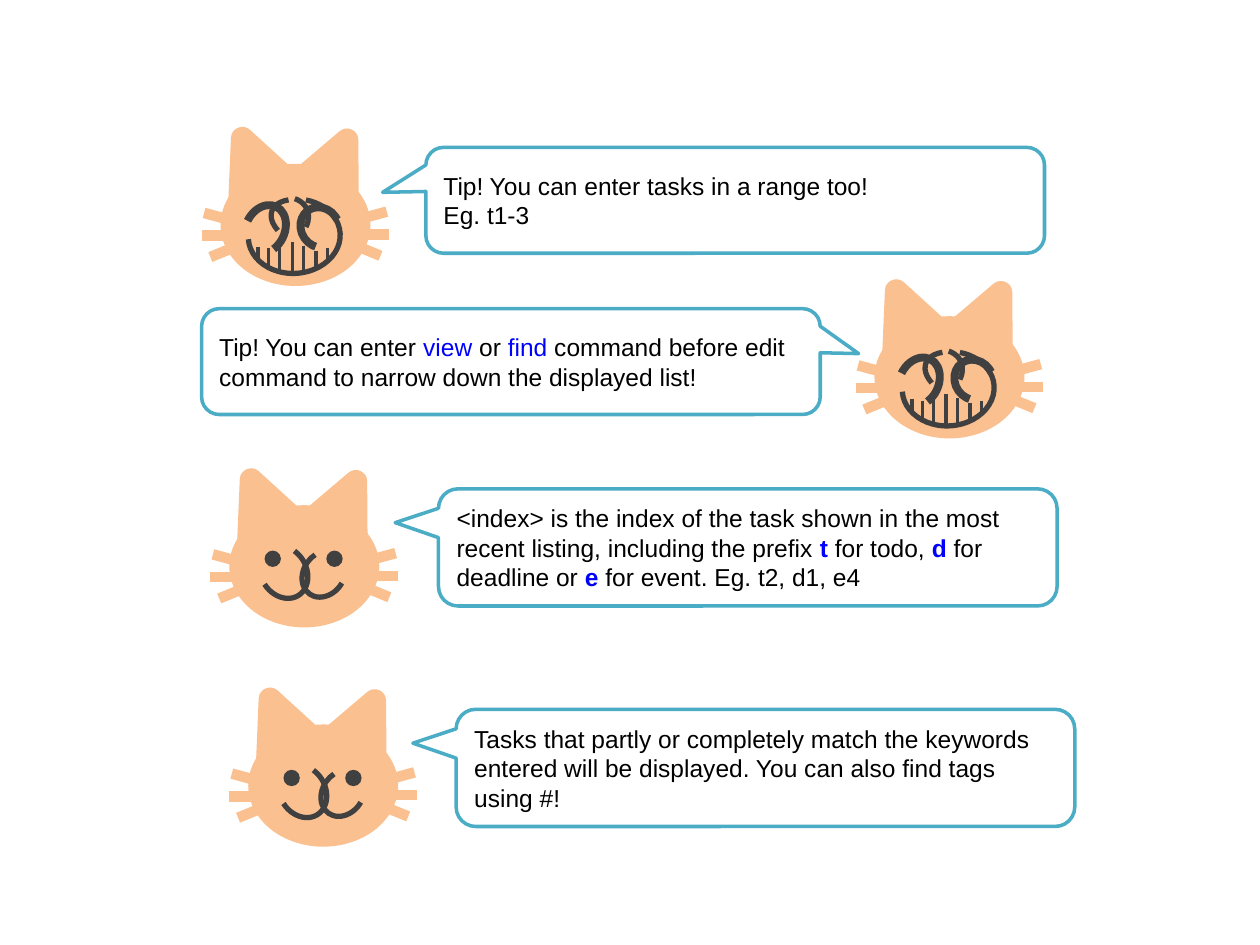
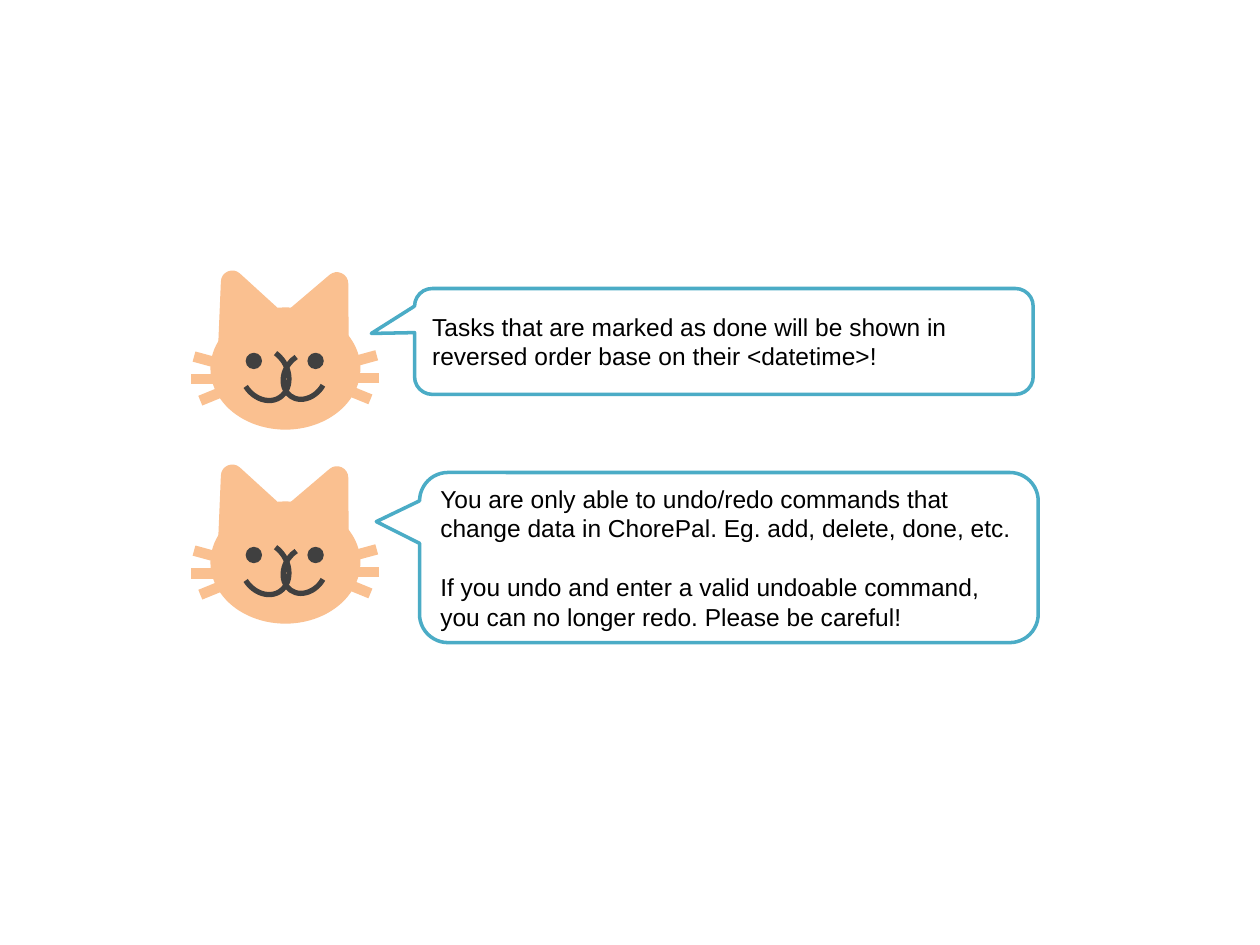
from dataclasses import dataclass
from typing import NamedTuple, Optional

import pptx
import pptx.dml.color
import pptx.enum.shapes
import pptx.enum.text
import pptx.oxml.ns
import pptx.oxml.xmlchemy
import pptx.shapes.autoshape
import pptx.shapes.group
import pptx.util

Inches = pptx.util.Inches
Pt = pptx.util.Pt
Preset = pptx.enum.shapes.MSO_SHAPE
Group = pptx.shapes.group.GroupShape
Shape = pptx.shapes.autoshape.Shape

COLOURS = {
    "fur": "FAC090",
    "feature": "404040",
    "bubble": "FFFFFF",
    "border": "4BACC6",
    "text": "000000",
    "keyword": "0000FF",
}
FONT = "Arial"
TEXT_SIZE = 14
PARAGRAPH_GAP = 16.75
HEAD_WIDTH, HEAD_HEIGHT = 1.19, 0.97
BUBBLE_WIDTH = 4.91
EYE_SIZE = 0.13


class Box(NamedTuple):
    left: float
    top: float
    width: float
    height: float

    def moved(self, left: float, top: float) -> "Box":
        return Box(self.left + left, self.top + top, self.width, self.height)


class Arc(NamedTuple):
    box: Box
    rotation: float
    start: float
    end: float
    flipped: bool = False
    weight: float = 3


class Segment(NamedTuple):
    x1: float
    y1: float
    x2: float
    y2: float


class Words(NamedTuple):
    text: str
    colour: str = "text"
    bold: bool = False


@dataclass
class Tip:
    left: float
    top: float
    bubble: Box
    paragraphs: list[list[Words]]
    tail_x: float = -0.57
    tail_y: float = -0.211
    grinning: bool = False
    gap: float = 0


EARS = [(Box(0.05, -0.22, 0.42, 0.45), 337.4), (Box(0.7, -0.21, 0.42, 0.45), 24.6)]
LEFT_WHISKERS = [
    Segment(-0.13, 0.39, 0.09, 0.45),
    Segment(-0.15, 0.57, 0.07, 0.57),
    Segment(-0.08, 0.74, 0.14, 0.65),
]
RIGHT_WHISKERS = [
    Segment(HEAD_WIDTH - whisker.x1, whisker.y1 - 0.01, HEAD_WIDTH - whisker.x2, whisker.y2 - 0.01)
    for whisker in LEFT_WHISKERS
]
EYES = [Box(left, 0.36, EYE_SIZE, EYE_SIZE) for left in (0.28, 0.77)]
SMILE = [
    Arc(Box(0.25, 0.31, 0.36, 0.44), 147.3, 149.97, 0),
    Arc(Box(0.59, 0.35, 0.32, 0.39), 215.6, 149.97, 8.83, True),
]
GRIN = [
    Arc(Box(0.19, 0.28, 0.52, 0.38), 153.7, 152.12, 214.4),
    Arc(Box(0.39, 0.3, 0.59, 0.35), 200.2, 147.75, 213.27, True),
    Arc(Box(0.64, 0.34, 0.3, 0.33), 324.8, 137.81, 10.8, weight=4.5),
    Arc(Box(0.2, 0.32, 0.31, 0.4), 26.1, 139.36, 0.39, True, 4.5),
    Arc(Box(0.22, 0.28, 0.73, 0.59), 176.3, 111.57, 0),
]
TEETH = [
    Segment(x, top, x, bottom)
    for x, top, bottom in [
        (0.3, 0.66, 0.77),
        (0.38, 0.67, 0.83),
        (0.47, 0.66, 0.86),
        (0.57, 0.62, 0.86),
        (0.66, 0.65, 0.85),
        (0.76, 0.69, 0.83),
        (0.85, 0.67, 0.77),
    ]
]

SLIDES = [
    [
        Tip(1.82, 4.01, Box(3.48, 3.88, BUBBLE_WIDTH, 0.93), [[
            Words("<index> is the index of the task shown in the most recent listing, including the prefix "),
            Words("t", "keyword", True),
            Words(" for todo, "),
            Words("d", "keyword", True),
            Words(" for deadline or "),
            Words("e", "keyword", True),
            Words(" for event. Eg. t2, d1, e4"),
        ]]),
        Tip(1.97, 5.75, Box(3.62, 5.63, BUBBLE_WIDTH, 0.93), [[
            Words("Tasks that partly or completely match the keywords entered will be displayed. "
                  "You can also find tags using #!"),
        ]]),
        Tip(1.75, 1.3, Box(3.38, 1.17, BUBBLE_WIDTH, 0.84), [
            [Words("Tip! You can enter tasks in a range too!")],
            [Words("Eg. t1-3")],
        ], tail_y=-0.075, grinning=True),
        Tip(6.94, 2.51, Box(1.6, 2.45, BUBBLE_WIDTH, 0.84), [[
            Words("Tip! You can enter "),
            Words("view", "keyword"),
            Words(" or "),
            Words("find", "keyword"),
            Words(" command before edit command to narrow down the displayed list!"),
        ]], tail_x=0.562, tail_y=-0.075, grinning=True),
    ],
    [
        Tip(1.67, 2.44, Box(3.29, 2.29, BUBBLE_WIDTH, 0.84), [[
            Words("Tasks that are marked as done will be shown in reversed order base on their <datetime>!"),
        ]], tail_y=-0.075),
        Tip(1.67, 3.98, Box(3.33, 3.75, BUBBLE_WIDTH, 1.35), [
            [Words("You are only able to undo/redo commands that change data in ChorePal. "
                   "Eg. add, delete, done, etc.")],
            [Words("If you undo and enter a valid undoable command, you can no longer redo. "
                   "Please be careful!")],
        ], gap=PARAGRAPH_GAP),
    ],
]


def rgb(name: str) -> pptx.dml.color.RGBColor:
    return pptx.dml.color.RGBColor.from_string(COLOURS[name])


def add_preset(group: Group, preset: Preset, box: Box, fill: Optional[str] = None,
               line: Optional[str] = None, weight: float = 0, rotation: float = 0) -> Shape:
    shape = group.shapes.add_shape(preset, *(Inches(length) for length in box))
    shape.shadow.inherit = False
    shape.rotation = rotation
    if fill:
        shape.fill.solid()
        shape.fill.fore_color.rgb = rgb(fill)
    else:
        shape.fill.background()
    if line:
        shape.line.color.rgb = rgb(line)
        shape.line.width = Pt(weight)
    else:
        shape.line.fill.background()
    return shape


def add_segment(group: Group, tip: Tip, segment: Segment, colour: str, weight: float) -> None:
    connector = group.shapes.add_connector(
        pptx.enum.shapes.MSO_CONNECTOR.STRAIGHT,
        Inches(tip.left + segment.x1), Inches(tip.top + segment.y1),
        Inches(tip.left + segment.x2), Inches(tip.top + segment.y2),
    )
    connector.line.color.rgb = rgb(colour)
    connector.line.width = Pt(weight)
    connector.element.spPr.append(pptx.oxml.xmlchemy.OxmlElement("a:effectLst"))


def add_arc(group: Group, tip: Tip, arc: Arc) -> None:
    shape = add_preset(group, Preset.ARC, arc.box.moved(tip.left, tip.top), None,
                       "feature", arc.weight, arc.rotation)
    for index, angle in enumerate((arc.start, arc.end)):
        shape.adjustments[index] = angle * 0.6
    if arc.flipped:
        shape.element.spPr.find(pptx.oxml.ns.qn("a:xfrm")).set("flipH", "1")


def add_cat(group: Group, tip: Tip) -> None:
    add_preset(group, Preset.OVAL, Box(tip.left, tip.top, HEAD_WIDTH, HEAD_HEIGHT), "fur")
    for box, rotation in EARS:
        add_preset(group, Preset.ISOSCELES_TRIANGLE, box.moved(tip.left, tip.top),
                   "fur", "fur", 13, rotation)
    for whisker in LEFT_WHISKERS + RIGHT_WHISKERS:
        add_segment(group, tip, whisker, "fur", 6)
    if not tip.grinning:
        for eye in EYES:
            add_preset(group, Preset.OVAL, eye.moved(tip.left, tip.top), "feature")
    for arc in GRIN if tip.grinning else SMILE:
        add_arc(group, tip, arc)
    if tip.grinning:
        for tooth in TEETH:
            add_segment(group, tip, tooth, "feature", 2)


def add_bubble(group: Group, tip: Tip) -> None:
    bubble = add_preset(group, Preset.ROUNDED_RECTANGULAR_CALLOUT, tip.bubble, "bubble", "border", 2)
    for index, value in enumerate((tip.tail_x, tip.tail_y, 0.167)):
        bubble.adjustments[index] = value
    frame = bubble.text_frame
    frame.word_wrap = True
    frame.vertical_anchor = pptx.enum.text.MSO_ANCHOR.MIDDLE
    for index, words_list in enumerate(tip.paragraphs):
        paragraph = frame.add_paragraph() if index else frame.paragraphs[0]
        paragraph.alignment = pptx.enum.text.PP_ALIGN.LEFT
        if index and tip.gap:
            paragraph.space_before = Pt(tip.gap)
        for words in words_list:
            run = paragraph.add_run()
            run.text = words.text
            run.font.name = FONT
            run.font.size = Pt(TEXT_SIZE)
            run.font.bold = words.bold
            run.font.color.rgb = rgb(words.colour)


def main() -> None:
    presentation = pptx.Presentation()
    presentation.slide_width = Inches(10)
    presentation.slide_height = Inches(7.5)
    for tips in SLIDES:
        slide = presentation.slides.add_slide(presentation.slide_layouts[6])
        for tip in tips:
            group = slide.shapes.add_group_shape()
            add_cat(group, tip)
            add_bubble(group, tip)
    presentation.save("out.pptx")


main()
